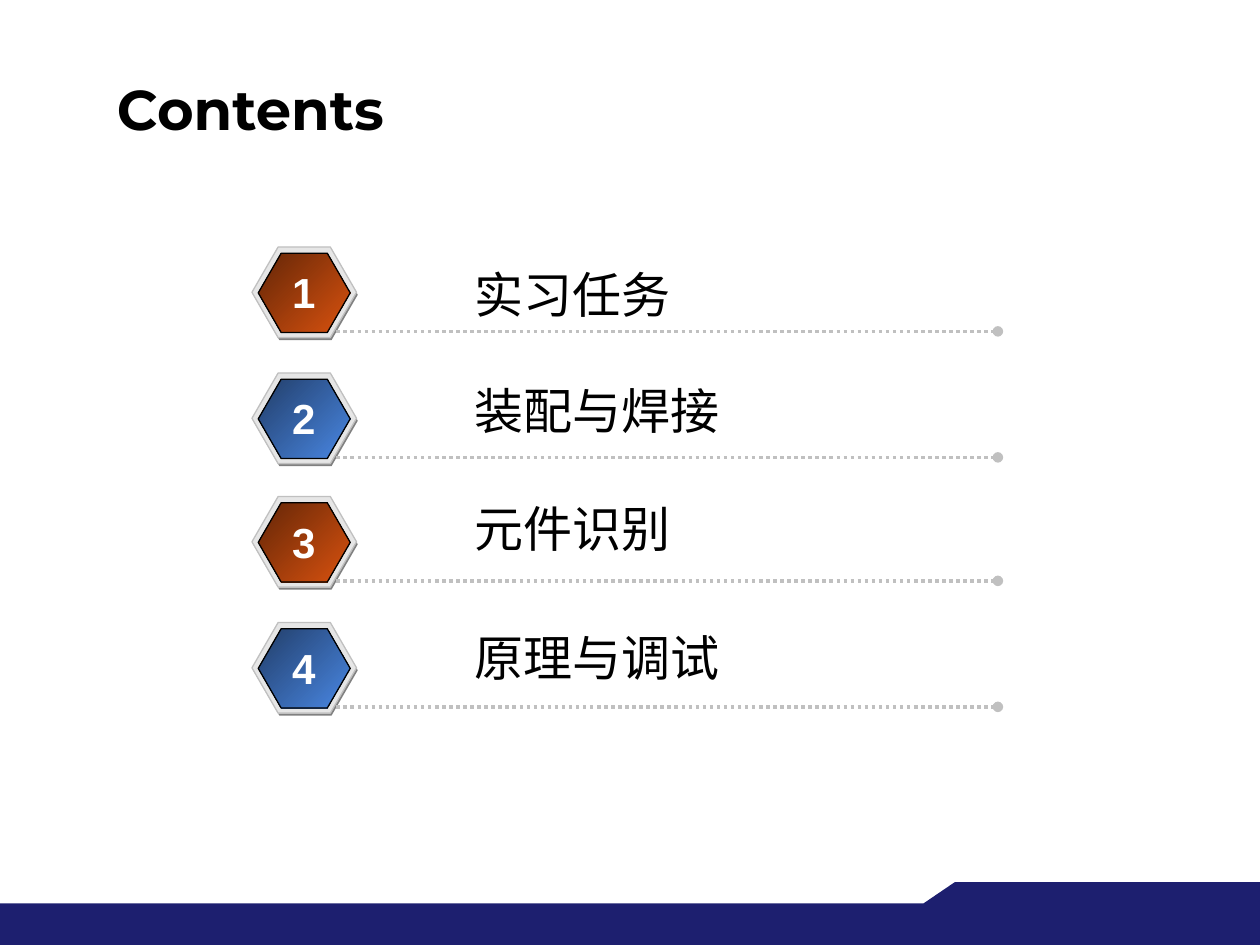
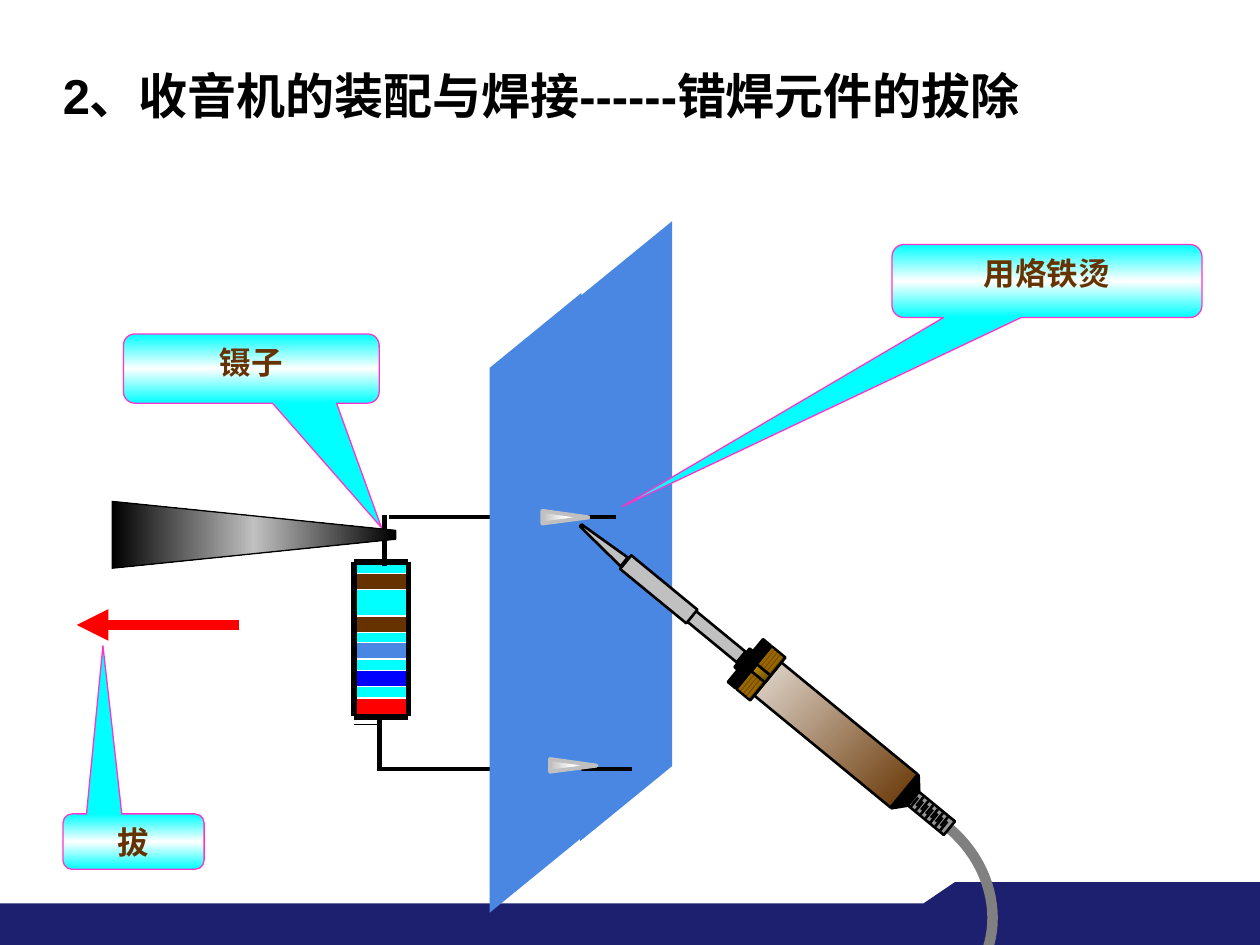
import math

from lxml import etree
from pptx import Presentation
from pptx import util as u
from pptx.dml.color import RGBColor
from pptx.enum import dml, shapes, text
from pptx.oxml.ns import qn

NAVY, BLUE, BLACK, WHITE = "1D1F6F", "4987E3", "000000", "FFFFFF"
SILVER, BROWN, CYAN, GOLD = "C0C0C0", "663300", "00FFFF", "996600"
CJK_FONT = "Noto Sans CJK SC"
SHAPE = shapes.MSO_SHAPE

STYLES = {
    "contents title": {"name": "Montserrat", "size": u.Pt(32), "bold": True, "color": BLACK},
    "topic title": {"name": "Arial", "size": u.Pt(28), "bold": True, "color": BLACK},
    "entry": {"name": CJK_FONT, "size": u.Pt(28), "bold": False, "color": BLACK},
    "number": {"name": "Arial", "size": u.Pt(24), "bold": True, "color": WHITE},
    "callout": {"name": "Times New Roman", "size": u.Pt(18), "bold": True, "color": BROWN},
}


# Shared drawing helpers
def rgb(value):
    return RGBColor.from_string(value)


def add_child(parent, tag, **attributes):
    child = etree.SubElement(parent, qn(tag))
    for name, value in attributes.items():
        child.set(name, str(value))
    return child


def set_gradient(shape, colours, angle):
    """Spread the colours evenly, at an angle that ignores the shape's rotation."""
    shape.fill.gradient()
    gradient = shape._element.spPr.find(qn("a:gradFill"))
    for child in list(gradient):
        gradient.remove(child)
    gradient.set("rotWithShape", "0")
    stops = add_child(gradient, "a:gsLst")
    for index, colour in enumerate(colours):
        stop = add_child(stops, "a:gs", pos=round(100000 * index / (len(colours) - 1)))
        add_child(stop, "a:srgbClr", val=colour)
    add_child(gradient, "a:lin", ang=angle * 60000, scaled=0)


def paint(shape, fill=None, line=None, width=0.75, angle=0):
    """Fill with one colour, or with a gradient when given a tuple."""
    shape.shadow.inherit = False
    if fill is None:
        shape.fill.background()
    elif isinstance(fill, tuple):
        set_gradient(shape, fill, angle)
    else:
        shape.fill.solid()
        shape.fill.fore_color.rgb = rgb(fill)
    if line:
        shape.line.color.rgb = rgb(line)
        shape.line.width = u.Pt(width)
    else:
        shape.line.fill.background()
    return shape


def add_preset(slide, kind, box, rotation=0, flip=False, adjust=(), **look):
    shape = slide.shapes.add_shape(kind, *map(u.Inches, box))
    shape.rotation = rotation
    if flip:
        shape._element.spPr.find(qn("a:xfrm")).set("flipV", "1")
    for index, value in enumerate(adjust):
        shape.adjustments[index] = value
    return paint(shape, **look)


def add_outline(slide, points, closed=True, **look):
    points = [(u.Inches(x), u.Inches(y)) for x, y in points]
    builder = slide.shapes.build_freeform(*points[0])
    builder.add_line_segments(points[1:], close=closed)
    return paint(builder.convert_to_shape(), **look)


def add_line(slide, start, end, colour=BLACK, width=3, dash=None, tail=None):
    line = slide.shapes.add_connector(
        shapes.MSO_CONNECTOR.STRAIGHT, *map(u.Inches, (*start, *end)))
    line.line.color.rgb = rgb(colour)
    line.line.width = u.Pt(width)
    if dash:
        line.line.dash_style = dash
    properties = line._element.spPr
    if tail:
        add_child(properties.find(qn("a:ln")), "a:tailEnd", type=tail)
    add_child(properties, "a:effectLst")


def write(shape, content, style, align=text.PP_ALIGN.LEFT,
          anchor=text.MSO_ANCHOR.TOP, wrap=True):
    frame = shape.text_frame
    frame.word_wrap = wrap
    frame.vertical_anchor = anchor
    paragraph = frame.paragraphs[0]
    paragraph.alignment = align
    run = paragraph.add_run()
    run.text = content
    for name, value in STYLES[style].items():
        if name == "color":
            run.font.color.rgb = rgb(value)
        else:
            setattr(run.font, name, value)
    add_child(run._r.get_or_add_rPr(), "a:ea", typeface=CJK_FONT)


def add_text(slide, box, content, style, **layout):
    write(slide.shapes.add_textbox(*map(u.Inches, box)), content, style, **layout)


def add_footer_band(slide):
    add_preset(slide, SHAPE.RECTANGLE, (0, 7.17, 10, 0.33), fill=NAVY)
    add_outline(slide, [(7.33, 7.17), (7.58, 7), (10, 7), (10, 7.25), (7.33, 7.25)],
                fill=NAVY)


def new_slide(presentation):
    slide = presentation.slides.add_slide(presentation.slide_layouts[6])
    add_footer_band(slide)
    return slide


# Contents slide
def add_contents_row(slide, left, top, number, entry, entry_top, colours):
    hexagons = [
        ((left + 0.01, top + 0.02, 0.83, 0.72), {"fill": "808080"}),
        ((left, top, 0.83, 0.72), {"fill": "E6E6E6", "line": SILVER}),
        ((left + 0.05, top + 0.05, 0.73, 0.63),
         {"fill": colours, "angle": 45, "line": BLACK}),
    ]
    for box, look in hexagons:
        add_preset(slide, SHAPE.HEXAGON, box, adjust=(0.289,), **look)
    rule_y = top + 0.67
    add_line(slide, (left + 0.67, rule_y), (left + 5.92, rule_y), SILVER, 2,
             dash=dml.MSO_LINE.ROUND_DOT, tail="oval")
    add_text(slide, (left + 1.67, entry_top, 2.2, 0.57), entry, "entry")
    add_text(slide, (left + 0.22, top + 0.11, 0.38, 0.5), str(number), "number",
             align=text.PP_ALIGN.CENTER, wrap=False)


def build_contents(presentation):
    slide = new_slide(presentation)
    add_text(slide, (0.83, 0.55, 8.58, 0.62), "Contents", "contents title",
             anchor=text.MSO_ANCHOR.MIDDLE)
    gradients = [("642607", "D9520F"), ("223E69", BLUE)]
    rows = [(1.96, "实习任务", 2.05), (2.96, "装配与焊接", 2.97),
            (3.94, "元件识别", 3.91), (4.94, "原理与调试", 4.93)]
    for index, (top, entry, entry_top) in enumerate(rows):
        add_contents_row(slide, 2, top, index + 1, entry, entry_top, gradients[index % 2])


# Desoldering slide
def add_board_half(slide, left, top):
    add_preset(slide, SHAPE.PARALLELOGRAM, (left, top, 4.92, 0.73), rotation=270,
               flip=True, adjust=(0.816,), fill=BLUE)


def add_resistor(slide, left, top):
    right, bottom = left + 0.43, top + 1.23
    add_line(slide, (left + 0.2, top + 1.64), (left + 0.2, bottom))
    add_preset(slide, SHAPE.RECTANGLE, (left + 0.01, top, 0.41, 1.22),
               fill=CYAN, line=WHITE)
    for mark in (0.43, 1.29):
        add_line(slide, (left + 0.2, top + mark), (left, top + mark), width=0.75)
    bands = [(0.09, BROWN), (0.43, BROWN), (0.64, BLUE), (0.86, "0000FF"), (1.08, "FF0000")]
    for offset, colour in bands:
        add_preset(slide, SHAPE.RECTANGLE, (left, top + offset, 0.43, 0.13),
                   fill=colour, line=WHITE)
    for y in (top, bottom):
        add_line(slide, (right, y), (left, y))
    for x in (left, right):
        add_line(slide, (x, bottom - 0.01), (x, top))
    # Bent leads
    add_line(slide, (left + 2.21, top + 1.64), (left + 0.18, top + 1.64), width=2.25)
    add_line(slide, (left + 2.08, top - 0.36), (left + 0.28, top - 0.36), width=2.25)
    add_line(slide, (left + 0.24, top + 0.03), (left + 0.24, top - 0.37))


def add_solder_joint(slide, left, top):
    add_preset(slide, SHAPE.ISOSCELES_TRIANGLE, (left, top, 0.1, 0.37), rotation=270,
               flip=True, adjust=(0.482,), fill=(SILVER, WHITE, SILVER),
               line=SILVER, width=2.25)


def add_cord(slide, left, top):
    """Sample the cubic curve of the cable."""
    controls = [(0, 0), (0.39, 0.33), (0.46, 0.87), (0.17, 1.21)]
    steps = 24
    points = []
    for step in range(steps + 1):
        t = step / steps
        weights = [math.comb(3, k) * t ** k * (1 - t) ** (3 - k) for k in range(4)]
        points.append((left + sum(w * x for w, (x, _) in zip(weights, controls)),
                       top + sum(w * y for w, (_, y) in zip(weights, controls))))
    add_outline(slide, points, closed=False, line="808080", width=6)


def add_soldering_iron(slide, tip_x, tip_y):
    """Place parts by distance along the iron from its tip and across its axis."""
    tilt = 39.4
    cosine, sine = math.cos(math.radians(tilt)), math.sin(math.radians(tilt))

    def at(along, across):
        return (tip_x + along * cosine - across * sine,
                tip_y + along * sine + across * cosine)

    def part(along, thickness, length, fill):
        x, y = at(along, 0)
        add_preset(slide, SHAPE.RECTANGLE,
                   (x - thickness / 2, y - length / 2, thickness, length),
                   rotation=tilt + 90, fill=fill, angle=45, line=BLACK, width=1.5)

    def outline(points, fill):
        add_outline(slide, [at(*point) for point in points],
                    fill=fill, line=BLACK, width=1.5)

    def ticks(first, gap, count, low, high, colour):
        for index in range(count):
            along = first + index * gap
            add_line(slide, at(along, low), at(along, high), colour, 1.5)

    add_cord(slide, tip_x + 2.92, tip_y + 2.4)
    part(2.62, 0.34, 1.4, ("E3DAD1", BROWN))
    outline([(3.33, -0.17), (3.41, -0.08), (3.41, 0.08), (3.33, 0.17)], BLACK)
    part(1.85, 0.44, 0.14, (GOLD, "472F00"))
    part(1.73, 0.44, 0.08, BLACK)
    part(1.68, 0.19, 0.05, BLACK)
    part(1.39, 0.11, 0.51, SILVER)
    part(0.8, 0.14, 0.68, SILVER)
    outline([(0.45, -0.04), (0, -0.01), (0, 0.01), (0.45, 0.05)], SILVER)
    # Ribbed cord sleeve and knurled ring
    part(3.6, 0.14, 0.37, "969696")
    ticks(3.44, 0.05, 7, -0.03, 0.06, BLACK)
    ticks(3.47, 0.05, 6, -0.06, 0.03, BLACK)
    part(1.85, 0.07, 0.14, ("CC9900", "5E4700"))
    for low, high in ((-0.21, -0.05), (0.05, 0.21)):
        ticks(1.8, 0.03, 4, low, high, GOLD)


def add_tweezers(slide, left, top):
    add_outline(slide, [(left, top + 0.53), (left + 2.25, top + 0.3),
                        (left + 2.25, top + 0.23), (left, top)],
                fill=(BLACK, SILVER, BLACK), line=BLACK)


def add_callout(slide, box, pointer, label):
    shape = add_preset(slide, SHAPE.ROUNDED_RECTANGULAR_CALLOUT, box,
                       adjust=(*pointer, 0.167), fill=(CYAN, WHITE, CYAN),
                       angle=90, line="FF33CC")
    write(shape, label, "callout", align=text.PP_ALIGN.CENTER)


def build_desoldering(presentation):
    slide = new_slide(presentation)
    add_board_half(slide, 2.51, 3.85)
    add_resistor(slide, 2.81, 4.46)
    add_board_half(slide, 1.79, 4.42)
    add_solder_joint(slide, 4.5, 5.89)
    add_solder_joint(slide, 4.44, 3.92)
    # Lead ends that stick out of the joints
    add_line(slide, (4.74, 6.1), (5.02, 6.1), width=2.25)
    add_line(slide, (4.68, 4.1), (4.89, 4.1), width=2.25)
    add_soldering_iron(slide, 4.61, 4.17)
    add_tweezers(slide, 0.89, 3.98)
    add_callout(slide, (0.98, 2.65, 2.03, 0.55), (0.509, 2.295), "镊子")
    add_callout(slide, (7.08, 1.94, 2.46, 0.58), (-1.372, 3.09), "用烙铁烫")
    add_line(slide, (1.9, 4.96), (0.61, 4.96), "FF0000", 6, tail="triangle")
    add_callout(slide, (0.5, 6.46, 1.12, 0.44), (-0.217, -3.532), "拔")
    add_text(slide, (0.4, 0.47, 8.07, 0.57),
             "2、收音机的装配与焊接------错焊元件的拔除", "topic title", wrap=False)


def main():
    presentation = Presentation()
    presentation.slide_width = u.Inches(10)
    presentation.slide_height = u.Inches(7.5)
    build_contents(presentation)
    build_desoldering(presentation)
    presentation.save("out.pptx")


if __name__ == "__main__":
    main()
